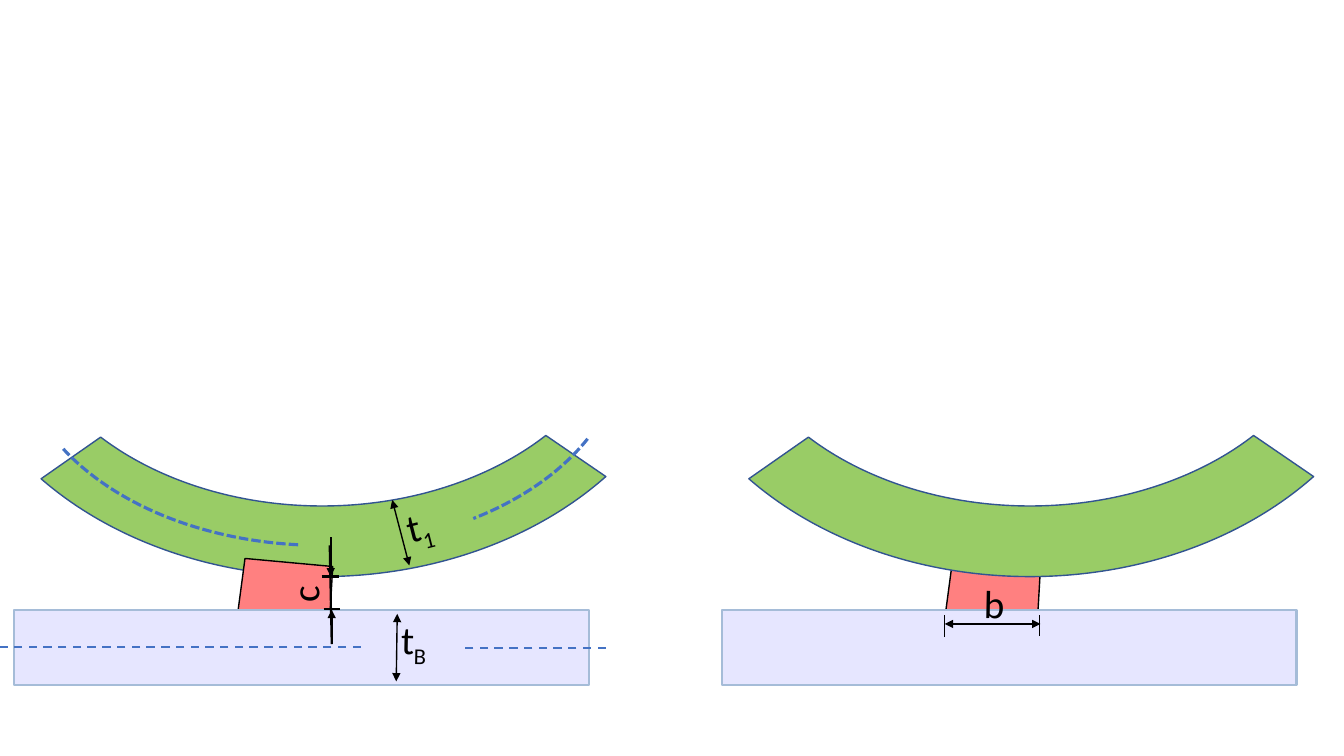
from lxml.etree import SubElement
from pptx import Presentation
from pptx.dml.color import RGBColor
from pptx.enum.dml import MSO_LINE
from pptx.enum.shapes import MSO_CONNECTOR, MSO_SHAPE
from pptx.enum.text import MSO_AUTO_SIZE
from pptx.oxml.ns import qn
from pptx.util import Emu, Pt

EMU_PER_PX = 9144  # 100 px to the inch
PANEL_STEP = 702

BLACK = RGBColor(0x00, 0x00, 0x00)
GREEN = RGBColor(0x99, 0xCC, 0x66)
NAVY = RGBColor(0x32, 0x54, 0x91)
RED = RGBColor(0xFF, 0x80, 0x80)
LAVENDER = RGBColor(0xE6, 0xE6, 0xFF)
STEEL = RGBColor(0xA5, 0xBC, 0xD8)
BLUE = RGBColor(0x44, 0x72, 0xC4)


def px(length):
    return Emu(length * EMU_PER_PX)


def add_text(paragraph, text, size=28, font="Calibri", color=BLACK, baseline=None):
    run = paragraph.add_run()
    run.text = text
    run.font.size = Pt(size)
    run.font.name = font
    run.font.color.rgb = color
    if baseline is not None:
        run._r.get_or_add_rPr().set("baseline", str(baseline * 1000))


class Diagram:
    """Draws the parts of one panel into a group, shifted sideways by offset."""

    def __init__(self, slide, offset=0):
        self.shapes = slide.shapes.add_group_shape().shapes
        self.offset = offset

    def style(self, shape, fill, line, width, dash=None):
        shape.shadow.inherit = False
        if fill is None:
            shape.fill.background()
        else:
            shape.fill.solid()
            shape.fill.fore_color.rgb = fill
        self.outline(shape, line, width, dash)

    def outline(self, shape, color, width, dash):
        shape.line.color.rgb = color
        shape.line.width = Pt(width)
        if dash is not None:
            shape.line.dash_style = dash

    def preset(self, kind, left, top, width, height, fill, line, line_width,
               dash=None, adjustments=(), rotation=0):
        shape = self.shapes.add_shape(
            kind, px(left + self.offset), px(top), px(width), px(height))
        for index, value in enumerate(adjustments):
            shape.adjustments[index] = value
        shape.rotation = rotation
        self.style(shape, fill, line, line_width, dash)

    def polygon(self, points, fill, line, line_width):
        corners = [(x + self.offset, y) for x, y in points]
        builder = self.shapes.build_freeform(*corners[0], scale=EMU_PER_PX)
        builder.add_line_segments(corners[1:], close=True)
        self.style(builder.convert_to_shape(), fill, line, line_width)

    def line(self, start, end, color=BLACK, width=1.0, dash=None, arrows=()):
        (x1, y1), (x2, y2) = start, end
        connector = self.shapes.add_connector(
            MSO_CONNECTOR.STRAIGHT, px(x1 + self.offset), px(y1),
            px(x2 + self.offset), px(y2))
        self.outline(connector, color, width, dash)
        for arrow in arrows:
            SubElement(connector.line._get_or_add_ln(), qn(f"a:{arrow}"), type="triangle")
        SubElement(connector._element.spPr, qn("a:effectLst"))

    def label(self, text, left, top, width, subscript="", rotation=0.0):
        box = self.shapes.add_textbox(
            px(left + self.offset), px(top), px(width), px(57))
        box.rotation = rotation
        box.text_frame.word_wrap = False
        box.text_frame.auto_size = MSO_AUTO_SIZE.SHAPE_TO_FIT_TEXT
        paragraph = box.text_frame.paragraphs[0]
        add_text(paragraph, text)
        if subscript:
            add_text(paragraph, subscript, baseline=-25)

    # Parts that both panels share
    def curved_plate(self):
        self.preset(MSO_SHAPE.BLOCK_ARC, -55, -12, 749, 584, GREEN, NAVY, 1,
                    adjustments=(128.65, 195.02, 0.12), rotation=180)

    def weld(self):
        self.polygon([(235, 614), (243, 554), (330, 562), (327, 615)], RED, BLACK, 1)

    def base_plate(self):
        self.preset(MSO_SHAPE.RECTANGLE, 14, 605, 570, 75, LAVENDER, STEEL, 1.5)

    def plate_axis(self, top, start_angle, end_angle):
        self.preset(MSO_SHAPE.ARC, 17, top, 602, 407, None, BLUE, 2.25,
                    dash=MSO_LINE.SQUARE_DOT,
                    adjustments=(start_angle, end_angle), rotation=180)


def draw_thickness_panel(slide):
    panel = Diagram(slide)
    both_ends = ("headEnd", "tailEnd")
    panel.curved_plate()
    panel.weld()
    panel.base_plate()

    # Centre lines of both plates
    panel.plate_axis(135, 120.05, 137.57)
    panel.plate_axis(134, 165.77, 202.27)
    panel.line((358, 642), (-3, 642), BLUE, 1.5, MSO_LINE.DASH)
    panel.line((601, 643), (455, 643), BLUE, 1.5, MSO_LINE.DASH)

    # Thickness of the curved plate
    panel.line((406, 561), (389, 496), arrows=both_ends)
    panel.label("t", 393, 492, 47, subscript="1", rotation=345.7)

    # Gap between the plates
    panel.line((329, 639), (329, 605), width=1.5, arrows=("tailEnd",))
    panel.line((328, 533), (328, 572), width=1.5, arrows=("tailEnd",))
    panel.line((319, 572), (336, 572), width=1.5)
    panel.line((321, 604), (337, 604), width=1.5)
    panel.line((329, 639), (327, 541), width=1.5)
    panel.label("c", 283, 561, 37, rotation=270)

    # Thickness of the base plate
    panel.line((393, 676), (394, 609), arrows=both_ends)
    panel.label("t", 388, 606, 48, subscript="B", rotation=1.1)


def draw_width_panel(slide):
    panel = Diagram(slide, offset=PANEL_STEP)
    panel.weld()
    panel.base_plate()
    panel.curved_plate()

    # Width of the weld
    panel.line((330, 619), (235, 619), arrows=("headEnd", "tailEnd"))
    panel.label("b", 264, 570, 41, rotation=1.1)
    panel.line((235, 632), (235, 610))
    panel.line((329, 631), (329, 610))


def main():
    presentation = Presentation()
    presentation.slide_width = px(1333)
    presentation.slide_height = px(750)
    slide = presentation.slides.add_slide(presentation.slide_layouts[6])
    draw_thickness_panel(slide)
    draw_width_panel(slide)
    presentation.save("out.pptx")


if __name__ == "__main__":
    main()
